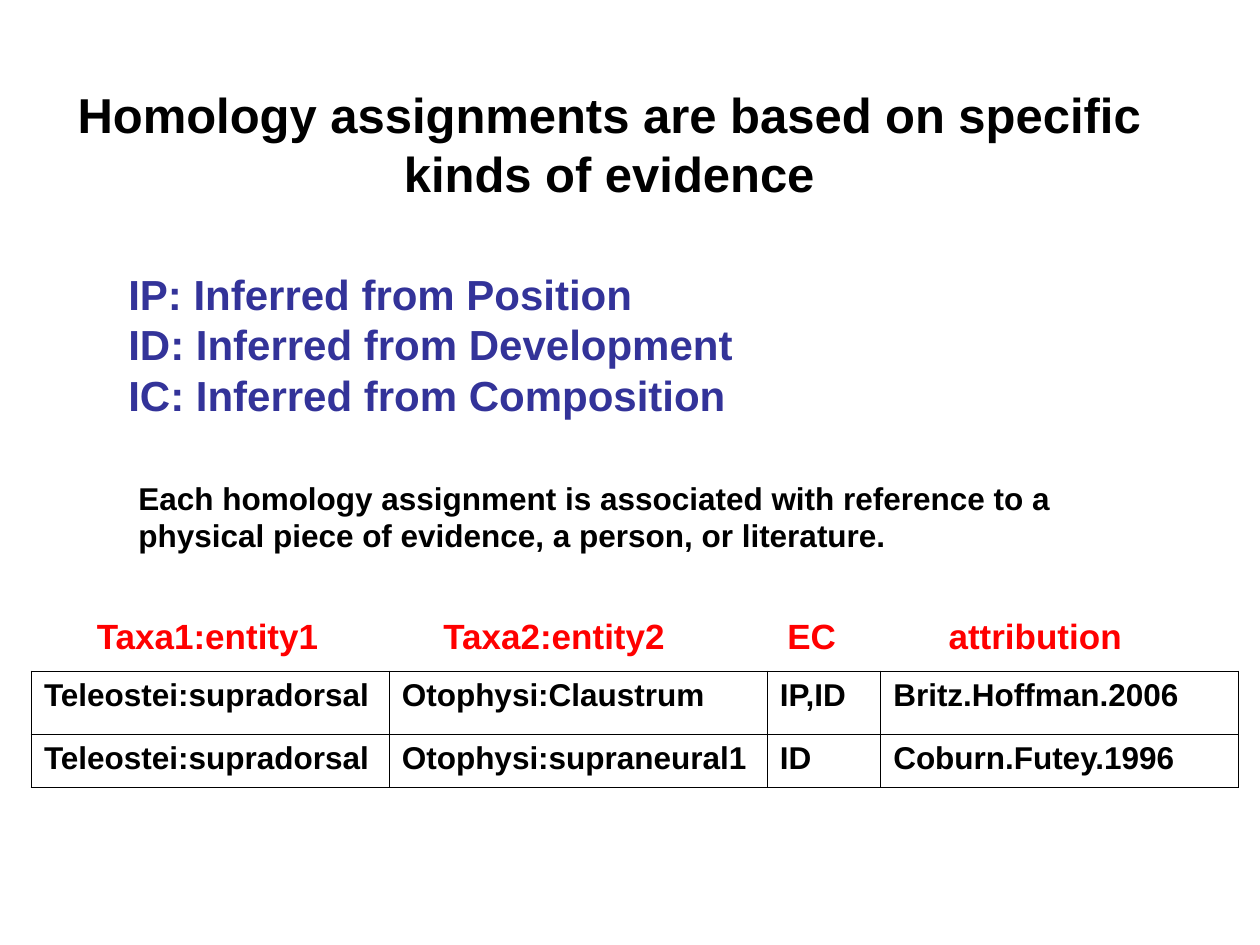
from dataclasses import dataclass

import lxml.etree
import pptx
import pptx.dml.color
import pptx.enum.text
import pptx.oxml.ns
import pptx.util

Inches = pptx.util.Inches
COLORS = {"text": "000000", "evidence": "333399", "header": "FF0000", "border": "000000"}
FONT = "Arial"
OUTER_LINE, INNER_LINE = 1.08, 0.45


@dataclass(frozen=True)
class TextBlock:
    left: float
    top: float
    width: float
    height: float
    lines: tuple[str, ...]
    size: int
    color: str
    wrap: bool = True


@dataclass(frozen=True)
class Column:
    header: str
    header_left: float
    header_width: float
    width: float
    entries: tuple[str, ...]


TITLE = TextBlock(0.5, 0.62, 8.67, 1.04,
                  ("Homology assignments are based on specific kinds of evidence",), 28, "text")
REFERENCE = TextBlock(
    1, 3.75, 7.75, 0.7,
    ("Each homology assignment is associated with reference to a "
     "physical piece of evidence, a person, or literature.",), 18, "text")
EVIDENCE_CODES = TextBlock(
    0.92, 2.08, 8.33, 1.3,
    ("IP: Inferred from Position", "ID: Inferred from Development",
     "IC: Inferred from Composition"), 24, "evidence")

COLUMNS = (
    Column("Taxa1:entity1", 0.67, 1.98, 2.84, ("Teleostei:supradorsal",) * 2),
    Column("Taxa2:entity2", 3.42, 1.98, 3, ("Otophysi:Claustrum", "Otophysi:supraneural1")),
    Column("EC", 6.15, 0.62, 0.9, ("IP,ID", "ID")),
    Column("attribution", 7.43, 1.62, 2.84, ("Britz.Hoffman.2006", "Coburn.Futey.1996")),
)
ROW_HEIGHTS = (0.5, 0.42)


def add_run(paragraph, text: str, size: int, color: str) -> None:
    run = paragraph.add_run()
    run.text = text
    run.font.name = FONT
    run.font.size = pptx.util.Pt(size)
    run.font.bold = True
    run.font.color.rgb = pptx.dml.color.RGBColor.from_string(COLORS[color])


def fill_frame(frame, block: TextBlock) -> None:
    frame.word_wrap = block.wrap
    frame.vertical_anchor = pptx.enum.text.MSO_ANCHOR.TOP
    for index, line in enumerate(block.lines):
        paragraph = frame.add_paragraph() if index else frame.paragraphs[0]
        add_run(paragraph, line, block.size, block.color)


def add_title(slide, block: TextBlock) -> None:
    title = slide.shapes.title
    title.left, title.top = Inches(block.left), Inches(block.top)
    title.width, title.height = Inches(block.width), Inches(block.height)
    title.text_frame.auto_size = pptx.enum.text.MSO_AUTO_SIZE.NONE
    fill_frame(title.text_frame, block)
    title.text_frame.paragraphs[0].alignment = pptx.enum.text.PP_ALIGN.CENTER


def add_text(slide, block: TextBlock) -> None:
    box = slide.shapes.add_textbox(Inches(block.left), Inches(block.top),
                                   Inches(block.width), Inches(block.height))
    box.text_frame.auto_size = pptx.enum.text.MSO_AUTO_SIZE.SHAPE_TO_FIT_TEXT
    fill_frame(box.text_frame, block)


def set_borders(cell, outer_sides: dict[str, bool]) -> None:
    """Draw the four cell borders, heavier on the table's outer edge."""
    properties = cell._tc.get_or_add_tcPr()
    for position, (side, is_outer) in enumerate(outer_sides.items()):
        width = pptx.util.Pt(OUTER_LINE if is_outer else INNER_LINE)
        line = lxml.etree.Element(pptx.oxml.ns.qn(f"a:ln{side}"), w=str(int(width)))
        fill = lxml.etree.SubElement(line, pptx.oxml.ns.qn("a:solidFill"))
        lxml.etree.SubElement(fill, pptx.oxml.ns.qn("a:srgbClr"), val=COLORS["border"])
        properties.insert(position, line)


def add_assignments(slide, left: float, top: float) -> None:
    last_row, last_column = len(ROW_HEIGHTS) - 1, len(COLUMNS) - 1
    table = slide.shapes.add_table(
        len(ROW_HEIGHTS), len(COLUMNS), Inches(left), Inches(top),
        Inches(sum(column.width for column in COLUMNS)), Inches(sum(ROW_HEIGHTS))).table
    table.first_row = table.horz_banding = False
    for row, height in enumerate(ROW_HEIGHTS):
        table.rows[row].height = Inches(height)
    for index, column in enumerate(COLUMNS):
        table.columns[index].width = Inches(column.width)
        for row, entry in enumerate(column.entries):
            cell = table.cell(row, index)
            cell.fill.background()
            paragraph = cell.text_frame.paragraphs[0]
            paragraph.space_before = pptx.util.Pt(4.5)
            add_run(paragraph, entry, 18, "text")
            set_borders(cell, {"L": index == 0, "R": index == last_column,
                               "T": row == 0, "B": row == last_row})


def main() -> None:
    presentation = pptx.Presentation()
    presentation.slide_width, presentation.slide_height = Inches(10), Inches(7.5)
    slide = presentation.slides.add_slide(presentation.slide_layouts.get_by_name("Title Only"))
    add_title(slide, TITLE)
    add_text(slide, EVIDENCE_CODES)
    add_text(slide, REFERENCE)
    add_assignments(slide, 0.25, 5.33)
    for column in COLUMNS:
        add_text(slide, TextBlock(column.header_left, 4.83, column.header_width, 0.44,
                                  (column.header,), 20, "header", wrap=False))
    presentation.save("out.pptx")


if __name__ == "__main__":
    main()
